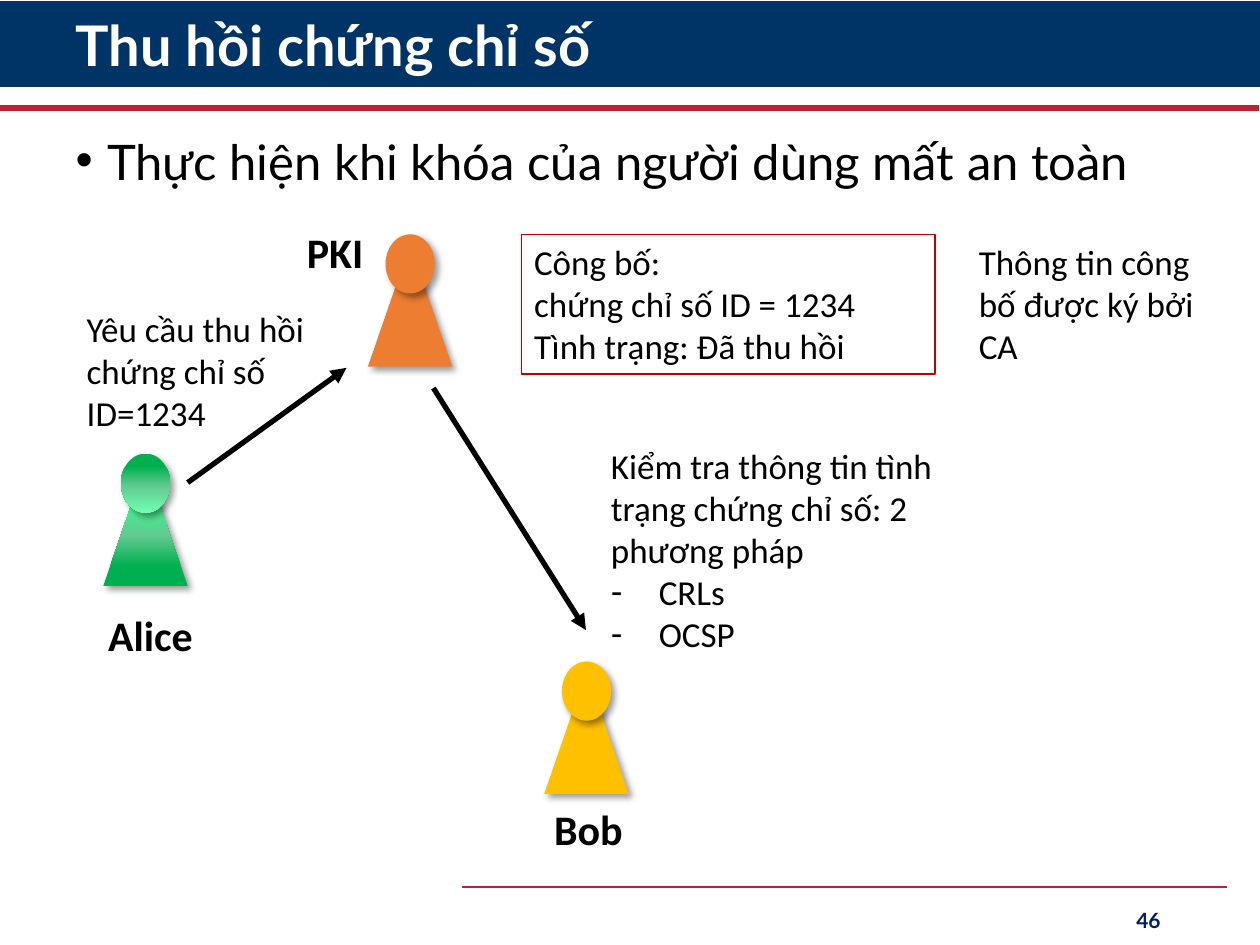
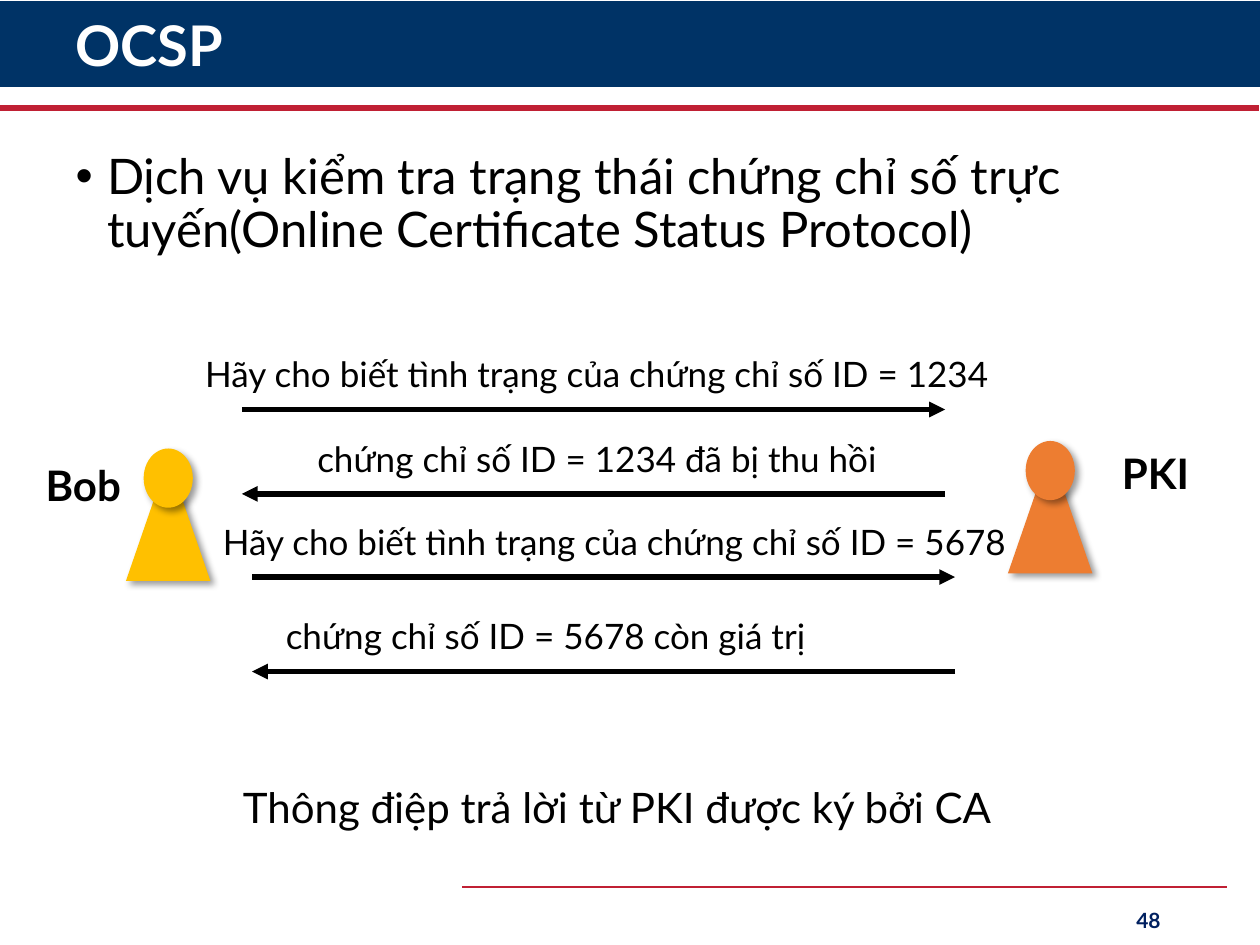
"""Build two slides on revoking digital certificates and on OCSP."""
from dataclasses import dataclass

from lxml import etree
from pptx import Presentation
from pptx.dml.color import RGBColor
from pptx.enum.shapes import MSO_CONNECTOR, MSO_SHAPE
from pptx.enum.text import MSO_ANCHOR, MSO_AUTO_SIZE, PP_ALIGN
from pptx.oxml.ns import qn
from pptx.util import Inches, Pt

STRAIGHT = MSO_CONNECTOR.STRAIGHT
RECTANGLE, OVAL, TRAPEZOID = MSO_SHAPE.RECTANGLE, MSO_SHAPE.OVAL, MSO_SHAPE.TRAPEZOID
TOP, MIDDLE = MSO_ANCHOR.TOP, MSO_ANCHOR.MIDDLE
NO_FIT, GROW = MSO_AUTO_SIZE.NONE, MSO_AUTO_SIZE.SHAPE_TO_FIT_TEXT
LEFT, CENTER, RIGHT = PP_ALIGN.LEFT, PP_ALIGN.CENTER, PP_ALIGN.RIGHT

NAVY, RED, WHITE, BLACK = "003366", "C02034", "FFFFFF", "000000"
NUMBER_BLUE, FRAME_RED = "002060", "C00000"
ORANGE, YELLOW = "ED7D31", "FFC000"
GREEN_STOPS = ((22, "00B050"), (55, "61CA90"))
BODY_GREEN = (*GREEN_STOPS, (100, "3BFF94"))
HEAD_GREEN = (*GREEN_STOPS, (100, "71FFB1"))
LATO, CALIBRI = "Lato", "Calibri"


@dataclass(frozen=True)
class Person:
    """A pawn figure, placed by the top left corner of its body."""
    left: float
    top: float
    body: str | tuple
    head: str | tuple


@dataclass(frozen=True)
class Label:
    """A block of text with its place and format."""
    text: str
    left: float
    top: float
    width: float
    height: float
    size: float = 20
    bold: bool = False
    align: PP_ALIGN = LEFT
    frame: str | None = None
    dashes: tuple = ()


@dataclass(frozen=True)
class Message:
    """A message above its arrow; a reply points to the left."""
    text: str
    left: float
    top: float
    width: float
    arrow_left: float
    reply: bool


PEOPLE = (
    Person(0.82, 3.93, BODY_GREEN, HEAD_GREEN),
    Person(2.92, 2.19, ORANGE, ORANGE),
    Person(4.32, 5.58, YELLOW, YELLOW),
)
REVOCATION_LABELS = (
    Label("Yêu cầu thu hồi\nchứng chỉ số ID=1234", 0.59, 2.39, 2.16, 1.11),
    Label("Công bố:\nchứng chỉ số ID = 1234\nTình trạng: Đã thu hồi",
          4.14, 1.86, 3.28, 1.11, frame=FRAME_RED),
    Label("Thông tin công bố được ký bởi CA", 7.67, 1.86, 2, 1.11),
    Label("Kiểm tra thông tin tình trạng chứng chỉ số: 2 phương pháp",
          4.75, 3.48, 3.39, 1.78, dashes=("CRLs", "OCSP")),
    Label("Alice", 0.76, 4.79, 1.18, 0.5, 24, True),
    Label("Bob", 4.08, 6.33, 1.18, 0.5, 24, True, CENTER),
    Label("PKI", 2.07, 1.75, 1.18, 0.5, 24, True, CENTER),
)
OCSP_PEOPLE = (
    Person(8, 3.83, ORANGE, ORANGE),
    Person(1, 3.89, YELLOW, YELLOW),
)
OCSP_LABELS = (
    Label("PKI", 8.58, 3.5, 1.18, 0.5, 24, True, CENTER),
    Label("Bob", 0.07, 3.6, 1.18, 0.5, 24, True, CENTER),
    Label("Thông điệp trả lời từ PKI được ký bởi CA", 1.83, 6.15, 6.5, 0.5, 24),
)
MESSAGES = (
    Message("Hãy cho biết tình trạng của chứng chỉ số ID = 1234", 1.53, 2.75, 6.81, 1.92, False),
    Message("chứng chỉ số ID = 1234 đã bị thu hồi", 2.42, 3.42, 5.06, 1.92, True),
    Message("Hãy cho biết tình trạng của chứng chỉ số ID = 5678", 1.67, 4.08, 6.81, 2, False),
    Message("chứng chỉ số ID = 5678 còn giá trị", 2.17, 4.83, 5.06, 2, True),
)
ARROW_LENGTH, ARROW_DROP = 5.58, 0.5


def rgb(color: str) -> RGBColor:
    """Turn a hex string into a colour."""
    return RGBColor.from_string(color)


def add_node(parent, tag: str, **attributes):
    """Append a drawing element with its attributes."""
    return etree.SubElement(parent, qn(tag), {key: str(value) for key, value in attributes.items()})


def place(box, left: float, top: float, width: float, height: float) -> None:
    """Move and size a shape, in inches."""
    box.left, box.top = Inches(left), Inches(top)
    box.width, box.height = Inches(width), Inches(height)


def write(box, text: str, *, size: float, font: str, color: str = BLACK, bold: bool = False,
          align: PP_ALIGN = LEFT, anchor: MSO_ANCHOR = TOP, fit: MSO_AUTO_SIZE = GROW,
          spacing: float | None = None, before: float = 0) -> list:
    """Fill a shape with formatted text, one paragraph a line."""
    frame = box.text_frame
    frame.word_wrap, frame.auto_size, frame.vertical_anchor = True, fit, anchor
    frame.text = text
    for para in frame.paragraphs:
        para.alignment, para.line_spacing, para.space_before = align, spacing, Pt(before)
        for span in para.runs:
            span.font.name, span.font.size, span.font.bold = font, Pt(size), bold
            span.font.color.rgb = rgb(color)
    return list(frame.paragraphs)


def set_bullet(para, mark: str, indent: float) -> None:
    """Give a paragraph a hanging bullet."""
    properties = para._p.get_or_add_pPr()
    properties.set("marL", str(Inches(indent)))
    properties.set("indent", str(-Inches(indent)))
    add_node(properties, "a:buFont", typeface="Arial")
    add_node(properties, "a:buChar", char=mark)


def add_label(page, label: Label, font: str) -> None:
    """Draw a block of text, its frame and its dashed items."""
    box = page.shapes.add_textbox(0, 0, 0, 0)
    place(box, label.left, label.top, label.width, label.height)
    paras = write(box, "\n".join((label.text, *label.dashes)), size=label.size, font=font,
                  bold=label.bold, align=label.align)
    for para in paras[len(paras) - len(label.dashes):]:
        set_bullet(para, "-", 0.38)
    if label.frame:
        box.line.color.rgb = rgb(label.frame)
        box.line.width = Pt(0.75)


def add_line(page, start: tuple, end: tuple, color: str = BLACK, width: float = 3,
             arrow: bool = False):
    """Draw a straight line, with an arrowhead at its end if asked."""
    line = page.shapes.add_connector(STRAIGHT, *map(Inches, (*start, *end)))
    line.line.color.rgb = rgb(color)
    line.line.width = Pt(width)
    if arrow:
        add_node(line.line._get_or_add_ln(), "a:tailEnd", type="triangle")
    add_node(line.element.spPr, "a:effectLst")
    return line


def paint(shape, color: str | tuple, angle: float) -> None:
    """Fill a shape with a colour or with gradient stops."""
    if isinstance(color, str):
        shape.fill.solid()
        shape.fill.fore_color.rgb = rgb(color)
        return
    shape.fill.gradient()
    shape.fill.gradient_angle = angle
    stops = shape.element.spPr.find(".//" + qn("a:gsLst"))
    for old_stop in list(stops):
        stops.remove(old_stop)
    for position, value in color:
        add_node(add_node(stops, "a:gs", pos=position * 1000), "a:srgbClr", val=value)


def add_shadow(shape) -> None:
    """Give a shape a soft shadow to the lower right."""
    shape.shadow.inherit = False
    effects = shape.element.spPr.find(qn("a:effectLst"))
    shadow = add_node(effects, "a:outerShdw", blurRad=Pt(4), dist=Pt(3), dir=45 * 60000,
                      algn="tl", rotWithShape=0)
    add_node(add_node(shadow, "a:srgbClr", val=BLACK), "a:alpha", val=40000)


def add_person(page, person: Person) -> None:
    """Draw a trapezoid body with an oval head as one group."""
    group = page.shapes.add_group_shape()
    parts = (
        (TRAPEZOID, person.body, 90, (person.left, person.top, 0.67, 0.72)),
        (OVAL, person.head, 270, (person.left + 0.14, person.top - 0.33, 0.39, 0.47)),
    )
    for kind, color, angle, area in parts:
        part = group.shapes.add_shape(kind, *map(Inches, area))
        if kind == TRAPEZOID:
            part.adjustments[0] = 0.371
        paint(part, color, angle)
        part.line.fill.background()
        add_shadow(part)


def add_page(deck, title: str, bullet: str, number: int, body_area: tuple, spacing: float):
    """Add a slide with the shared band, lines, title, bullet and number."""
    page = deck.slides.add_slide(deck.slide_layouts[1])
    heading, body = page.shapes.title, page.placeholders[1]
    band = page.shapes.add_shape(RECTANGLE, *map(Inches, (0, 0.01, 10, 0.68)))
    paint(band, NAVY, 0)
    band.line.fill.background()
    band.shadow.inherit = False
    rules = (add_line(page, (-0.01, 0.86), (9.99, 0.86), RED, 3.5),
             add_line(page, (3.67, 7.04), (9.74, 7.04), RED, 1.5))
    for backdrop in (band, *rules):
        heading.element.addprevious(backdrop.element)
    place(heading, 0.5, 0.08, 8.81, 0.61)
    write(heading, title, size=32, font=LATO, color=WHITE, bold=True, anchor=MIDDLE,
          fit=NO_FIT, spacing=0.9)
    place(body, *body_area)
    for para in write(body, bullet, size=28, font=LATO, fit=NO_FIT, spacing=spacing, before=10):
        set_bullet(para, "•", 0.25)
    number_box = page.shapes.add_textbox(0, 0, 0, 0)
    place(number_box, 7.06, 7.1, 2.25, 0.4)
    write(number_box, str(number), size=12, font=LATO, color=NUMBER_BLUE, bold=True,
          align=RIGHT, anchor=MIDDLE, fit=NO_FIT)
    return page


def add_revocation(deck) -> None:
    """Build the slide on revoking a certificate."""
    page = add_page(deck, "Thu hồi chứng chỉ số", "Thực hiện khi khóa của người dùng mất an toàn",
                    46, (0.5, 1.08, 9.58 - 0.08, 0.5), 0.8)
    for person in PEOPLE:
        add_person(page, person)
    add_line(page, (1.49, 3.83), (2.75, 2.92), arrow=True)
    add_line(page, (3.44, 3.08), (4.65, 5), arrow=True)
    for label in REVOCATION_LABELS:
        add_label(page, label, CALIBRI)


def add_ocsp(deck) -> None:
    """Build the slide on the status protocol."""
    page = add_page(deck, "OCSP", "Dịch vụ kiểm tra trạng thái chứng chỉ số trực "
                    "tuyến(Online Certificate Status Protocol)", 48, (0.5, 1.16, 9.33, 1.34), 0.9)
    for person in OCSP_PEOPLE:
        add_person(page, person)
    for message in MESSAGES:
        height = message.top + ARROW_DROP
        ends = [(message.arrow_left, height), (message.arrow_left + ARROW_LENGTH, height)]
        if message.reply:
            ends.reverse()
        add_line(page, *ends, arrow=True)
        add_label(page, Label(message.text, message.left, message.top, message.width, 0.44), LATO)
    for label in OCSP_LABELS:
        add_label(page, label, LATO)


def main() -> None:
    """Build and save the deck."""
    deck = Presentation()
    deck.slide_width, deck.slide_height = Inches(10), Inches(7.5)
    add_revocation(deck)
    add_ocsp(deck)
    deck.save("out.pptx")


if __name__ == "__main__":
    main()
